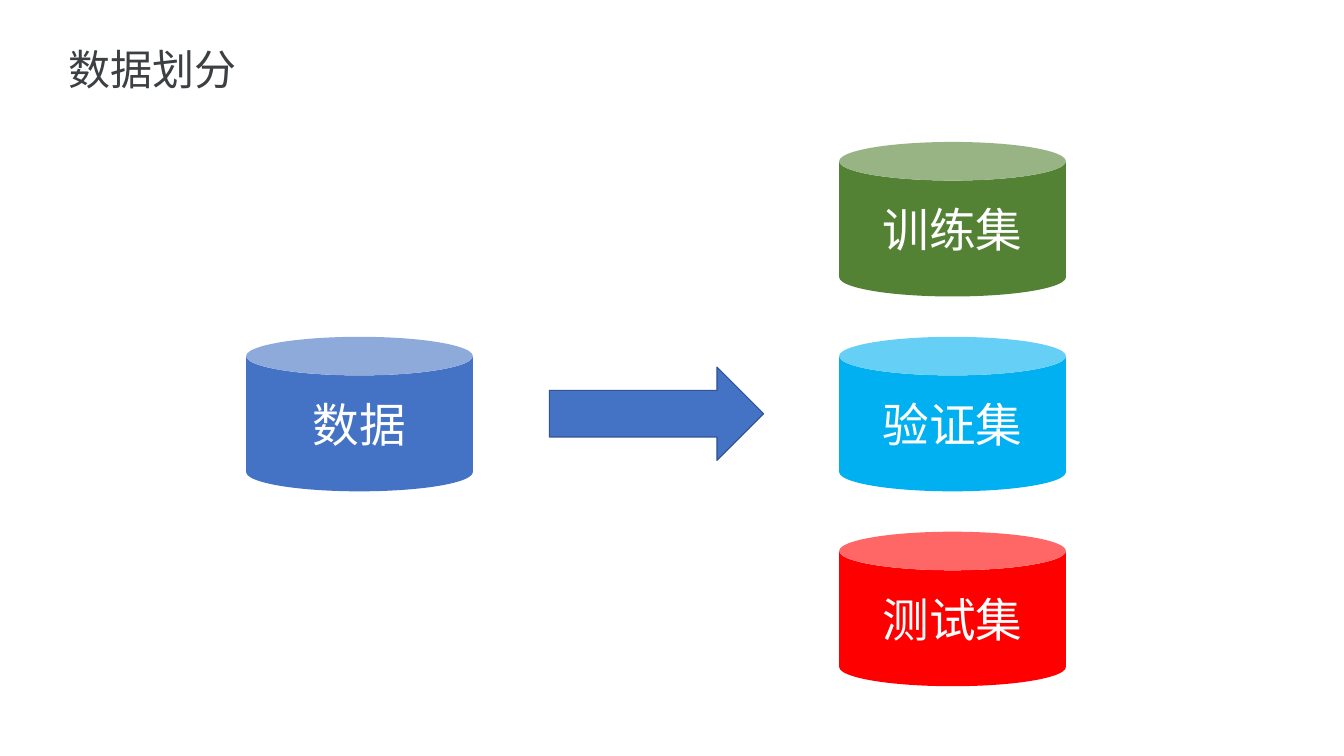
import dataclasses

import pptx
import pptx.dml.color
import pptx.enum.shapes
import pptx.enum.text
import pptx.oxml
import pptx.oxml.ns
import pptx.util

SHAPE = pptx.enum.shapes.MSO_SHAPE
ALIGN = pptx.enum.text.PP_ALIGN
ANCHOR = pptx.enum.text.MSO_ANCHOR
AUTO_SIZE = pptx.enum.text.MSO_AUTO_SIZE


@dataclasses.dataclass(frozen=True)
class Theme:
    font: str = "Noto Sans CJK SC"
    title_size: int = 36
    label_size: int = 40
    title: str = "3C4043"
    label: str = "FFFFFF"
    data: str = "4472C4"
    arrow_line: str = "325491"
    training: str = "548235"
    validation: str = "00B0F0"
    test: str = "FF0000"


class SlideBuilder:
    """Places elements on a grid of 160 columns by 90 rows."""

    def __init__(self, deck, theme):
        self.theme = theme
        self.column = deck.slide_width / 160
        self.row = deck.slide_height / 90
        self.slide = deck.slides.add_slide(deck.slide_layouts[5])

    def place(self, left, top, width, height):
        return (round(left * self.column), round(top * self.row),
                round(width * self.column), round(height * self.row))

    def color(self, value):
        return pptx.dml.color.RGBColor.from_string(value)

    def set_text(self, shape, text, size, color, align, margin_rows):
        frame = shape.text_frame
        margin = round(margin_rows * self.row)
        frame_format = {
            "word_wrap": True, "auto_size": AUTO_SIZE.NONE,
            "vertical_anchor": ANCHOR.MIDDLE,
            "margin_left": margin, "margin_right": margin,
            "margin_top": margin, "margin_bottom": margin,
        }
        for name, value in frame_format.items():
            setattr(frame, name, value)
        para = frame.paragraphs[0]
        para.alignment = align
        span = para.add_run()
        span.text = text
        font_format = {"name": self.theme.font, "size": pptx.util.Pt(size), "bold": False}
        for name, value in font_format.items():
            setattr(span.font, name, value)
        span.font.color.rgb = self.color(color)
        # East Asian typeface follows the Latin one
        latin = span._r.get_or_add_rPr().find(pptx.oxml.ns.qn("a:latin"))
        east_asian = pptx.oxml.parse_xml(f"<a:ea {pptx.oxml.ns.nsdecls('a')}/>")
        east_asian.set("typeface", self.theme.font)
        latin.addnext(east_asian)

    def title(self, text, *area):
        box = self.slide.shapes.title
        for name, value in zip(("left", "top", "width", "height"), self.place(*area)):
            setattr(box, name, value)
        self.set_text(box, text, self.theme.title_size, self.theme.title, ALIGN.LEFT, 1)

    def shape(self, kind, fill, area, line=None):
        shape = self.slide.shapes.add_shape(kind, *self.place(*area))
        shape.shadow.inherit = False
        shape.fill.solid()
        shape.fill.fore_color.rgb = self.color(fill)
        if line:
            shape.line.color.rgb = self.color(line)
            shape.line.width = pptx.util.Pt(1)
        else:
            shape.line.fill.background()
        return shape

    def cylinder(self, text, fill, left, top):
        can = self.shape(SHAPE.CAN, fill, (left, top, 27, 18.4))
        self.set_text(can, text, self.theme.label_size, self.theme.label, ALIGN.CENTER, 0.5)

    def arrow(self, *area):
        self.shape(SHAPE.RIGHT_ARROW, self.theme.data, area, self.theme.arrow_line)


def main():
    deck = pptx.Presentation()
    deck.slide_width = pptx.util.Inches(16)
    deck.slide_height = pptx.util.Inches(9)
    theme = Theme()
    builder = SlideBuilder(deck, theme)
    builder.title("数据划分", 7.2, 4.3, 114.1, 7.7)

    # Whole data set, level with the middle subset
    first_top, pitch = 16.9, 23.2
    builder.cylinder("数据", theme.data, 29.3, first_top + pitch)

    # Three subsets at an equal pitch
    subsets = [("训练集", theme.training), ("验证集", theme.validation), ("测试集", theme.test)]
    for index, (text, fill) in enumerate(subsets):
        builder.cylinder(text, fill, 99.9, first_top + index * pitch)

    # Split arrow
    builder.arrow(65.4, 43.7, 25.5, 11.1)

    deck.save("out.pptx")


if __name__ == "__main__":
    main()
